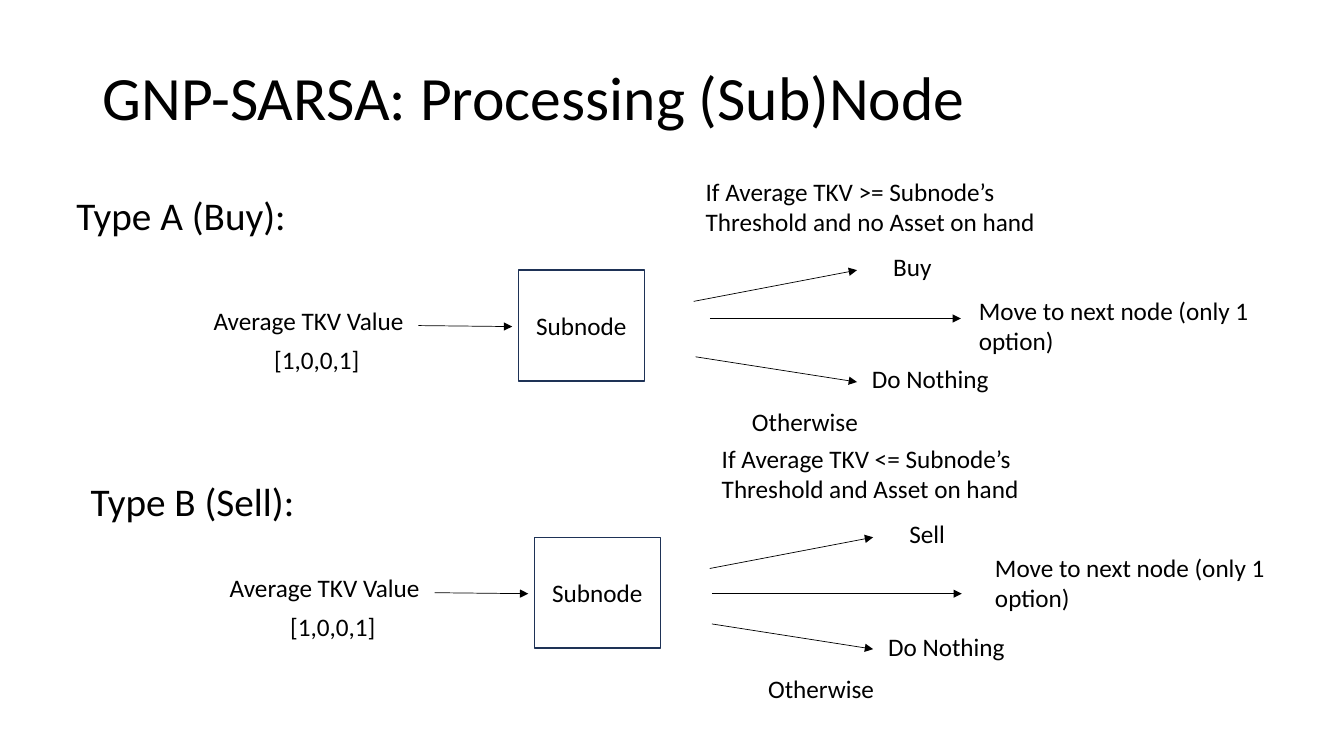
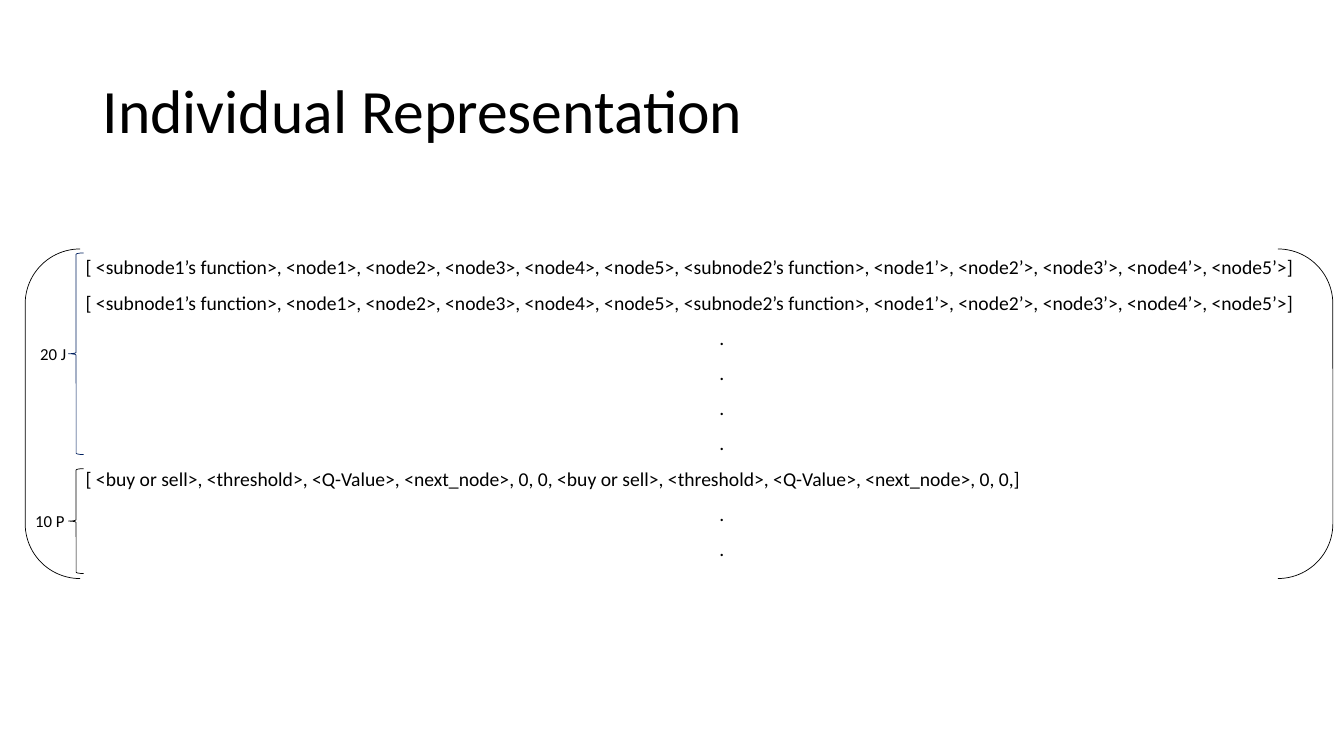
from dataclasses import dataclass

from pptx import Presentation
from pptx import util as u
from pptx.dml.color import RGBColor
from pptx.enum import shapes, text
from pptx.oxml import ns, xmlchemy

# Shared style
EMU_PER_PX = 9144  # 100 px to the inch
FONT = "Calibri"
BLACK, WHITE, NAVY, BLUE = "000000", "FFFFFF", "1E3256", "002060"
LEFT, CENTER = text.PP_ALIGN.LEFT, text.PP_ALIGN.CENTER
TOP, MIDDLE = text.MSO_ANCHOR.TOP, text.MSO_ANCHOR.MIDDLE
TITLE_FORMAT = {"line_spacing": 0.9}
ROW_FORMAT = {"line_spacing": 0.9, "space_before": u.Pt(10)}


@dataclass(frozen=True)
class Box:
    left: int
    top: int
    width: int
    height: int

    def moved(self, dx: int, dy: int) -> "Box":
        return Box(self.left + dx, self.top + dy, self.width, self.height)

    def emu(self) -> list[int]:
        return [px(v) for v in (self.left, self.top, self.width, self.height)]


@dataclass(frozen=True)
class Label:
    words: str
    box: Box
    size: int = 18


@dataclass(frozen=True)
class Arrow:
    x1: int
    y1: int
    x2: int
    y2: int


@dataclass(frozen=True)
class NodeType:
    heading: Label
    condition: str
    action: str
    dx: int
    dy: int
    next_arrow: Arrow
    next_top: int


@dataclass(frozen=True)
class Row:
    words: str
    align: text.PP_ALIGN = LEFT


@dataclass(frozen=True)
class Brace:
    box: Box
    color: str
    label: Label


def px(value: int) -> int:
    return value * EMU_PER_PX


def rgb(color: str) -> RGBColor:
    return RGBColor.from_string(color)


def set_format(target, values: dict) -> None:
    for name, value in values.items():
        setattr(target, name, value)


# Drawing functions
def write(frame, rows: list[Row], size: int, anchor=TOP, paragraph_format=None) -> None:
    set_format(frame, {"word_wrap": True, "vertical_anchor": anchor})
    for index, row in enumerate(rows):
        paragraph = frame.paragraphs[0] if index == 0 else frame.add_paragraph()
        set_format(paragraph, {"alignment": row.align, **(paragraph_format or {})})
        run = paragraph.add_run()
        run.text = row.words
        set_format(run.font, {"name": FONT, "size": u.Pt(size)})
        run.font.color.rgb = rgb(BLACK)


def add_label(slide, label: Label, anchor=TOP, paragraph_format=None) -> None:
    frame = slide.shapes.add_textbox(*label.box.emu()).text_frame
    write(frame, [Row(label.words)], label.size, anchor, paragraph_format)


def add_title(slide, words: str, top: int) -> None:
    add_label(slide, Label(words, Box(92, top, 1150, 145), 44), MIDDLE, TITLE_FORMAT)


def add_outline(slide, kind, box: Box, color: str, weight: float, fill: str = ""):
    outline = slide.shapes.add_shape(kind, *box.emu())
    outline.shadow.inherit = False
    if fill:
        outline.fill.solid()
        outline.fill.fore_color.rgb = rgb(fill)
    else:
        outline.fill.background()
    outline.line.color.rgb = rgb(color)
    outline.line.width = u.Pt(weight)
    return outline


def add_arrow(slide, arrow: Arrow, dx: int = 0, dy: int = 0) -> None:
    ends = (arrow.x1 + dx, arrow.y1 + dy, arrow.x2 + dx, arrow.y2 + dy)
    connector = slide.shapes.add_connector(shapes.MSO_CONNECTOR.STRAIGHT, *map(px, ends))
    connector.line.color.rgb = rgb(BLACK)
    connector.line.width = u.Pt(0.5)
    head = xmlchemy.OxmlElement("a:tailEnd")
    head.set("type", "triangle")
    properties = connector.element.find(ns.qn("p:spPr"))
    properties.find(ns.qn("a:ln")).append(head)
    properties.append(xmlchemy.OxmlElement("a:effectLst"))


# Slide 1: both node types share one diagram, the second is shifted
SUBNODE = Box(514, 268, 125, 110)
CONDITION = Box(690, 170, 371, 71)
ACTION = Box(876, 244, 172, 40)
NEXT_NODE = Box(961, 0, 362, 71)
DIAGRAM_LABELS = [
    Label("Average TKV Value", Box(202, 298, 312, 40)),
    Label("[1,0,0,1]", Box(262, 337, 290, 40)),
    Label("Otherwise", Box(736, 398, 371, 40)),
    Label("Do Nothing", Box(855, 356, 371, 40)),
]
DIAGRAM_ARROWS = [
    Arrow(415, 323, 508, 324),
    Arrow(688, 299, 850, 268),
    Arrow(690, 354, 850, 379),
]
NODE_TYPES = [
    NodeType(Label("Type A (Buy):", Box(66, 185, 1150, 182), 28),
             "If Average TKV >= Subnode’s Threshold and no Asset on hand",
             "Buy", 0, 0, Arrow(704, 316, 953, 316), 288),
    NodeType(Label("Type B (Sell):", Box(80, 469, 1150, 182), 28),
             "If Average TKV <= Subnode’s Threshold and Asset on hand",
             "Sell", 16, 265, Arrow(706, 589, 954, 589), 543),
]


def add_node_type(slide, node: NodeType) -> None:
    shift = (node.dx, node.dy)
    add_label(slide, node.heading)
    subnode = add_outline(slide, shapes.MSO_SHAPE.RECTANGLE, SUBNODE.moved(*shift),
                          NAVY, 1, WHITE)
    write(subnode.text_frame, [Row("Subnode", CENTER)], 18, MIDDLE)
    labels = DIAGRAM_LABELS + [Label(node.condition, CONDITION), Label(node.action, ACTION)]
    for label in labels:
        add_label(slide, Label(label.words, label.box.moved(*shift), label.size))
    for arrow in DIAGRAM_ARROWS:
        add_arrow(slide, arrow, *shift)
    add_arrow(slide, node.next_arrow)
    add_label(slide, Label("Move to next node (only 1 option)",
                           NEXT_NODE.moved(node.dx, node.next_top)))


def build_processing(slide) -> None:
    add_title(slide, "GNP-SARSA: Processing (Sub)Node", 27)
    for node in NODE_TYPES:
        add_node_type(slide, node)


# Slide 2: matrix of judgement and processing rows
JUDGEMENT = Row("[ <subnode1’s function>, <node1>, <node2>, <node3>, <node4>, <node5>, "
                "<subnode2’s function>, <node1’>, <node2’>, <node3’>, <node4’>, <node5’>]")
PROCESSING = Row("[ <buy or sell>, <threshold>, <Q-Value>, <next_node>, 0, 0, "
                 "<buy or sell>, <threshold>, <Q-Value>, <next_node>, 0, 0,]")
DOT = Row(".", CENTER)
MATRIX_ROWS = [JUDGEMENT] * 2 + [DOT] * 4 + [PROCESSING] + [DOT] * 2
BRACES = [
    Brace(Box(68, 251, 15, 200), BLUE, Label("20 J", Box(30, 336, 66, 30), 12)),
    Brace(Box(68, 465, 15, 104), BLACK, Label("10 P", Box(25, 502, 67, 30), 12)),
]


def build_representation(slide) -> None:
    add_title(slide, "Individual Representation", 40)
    matrix = slide.shapes.add_textbox(*Box(75, 251, 1282, 327).emu())
    write(matrix.text_frame, MATRIX_ROWS, 14, paragraph_format=ROW_FORMAT)
    for brace in BRACES:
        add_outline(slide, shapes.MSO_SHAPE.LEFT_BRACE, brace.box, brace.color, 0.5)
        add_label(slide, brace.label)
    add_outline(slide, shapes.MSO_SHAPE.DOUBLE_BRACKET, Box(25, 247, 1297, 327), BLACK, 0.5)


def main() -> None:
    deck = Presentation()
    set_format(deck, {"slide_width": px(1333), "slide_height": px(750)})
    for build in (build_processing, build_representation):
        build(deck.slides.add_slide(deck.slide_layouts[6]))
    deck.save("out.pptx")


if __name__ == "__main__":
    main()
